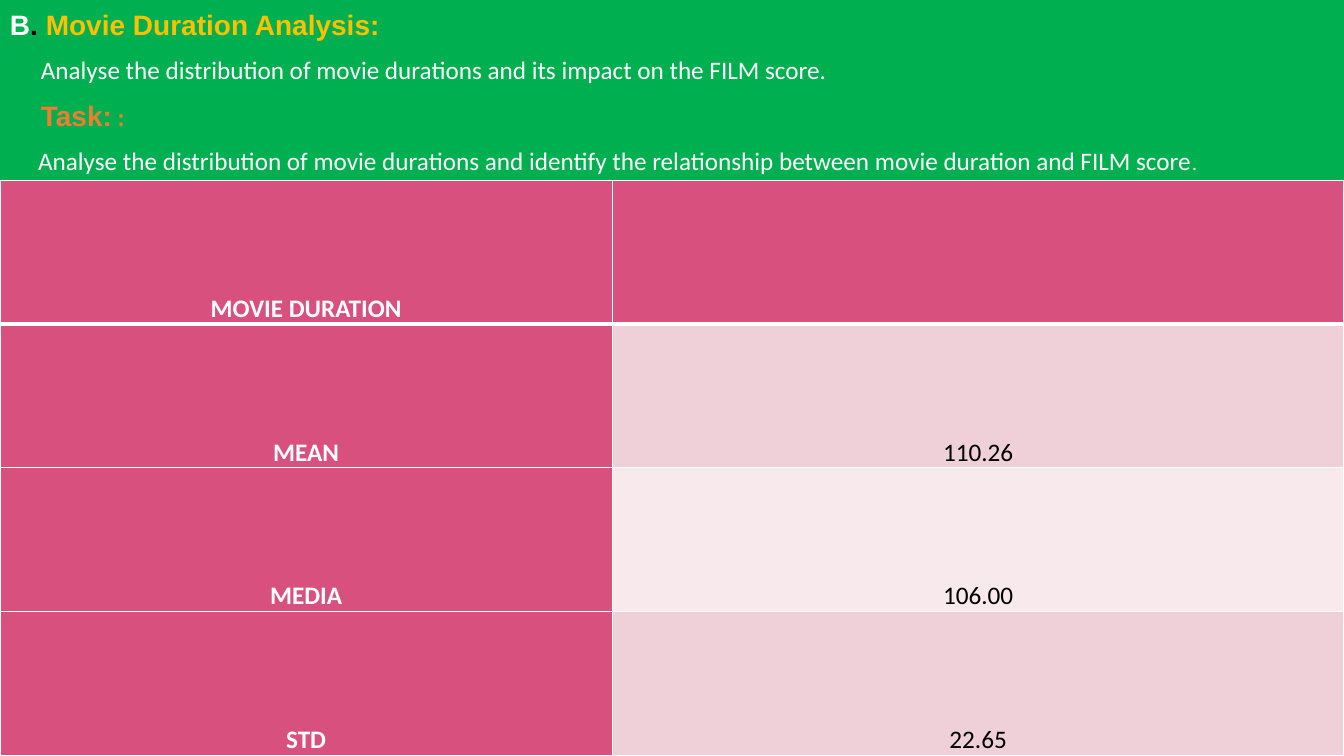
from lxml import etree
from pptx import Presentation
from pptx.dml.color import RGBColor
from pptx.enum.text import MSO_ANCHOR, MSO_AUTO_SIZE, PP_ALIGN
from pptx.oxml.ns import qn
from pptx.util import Cm, Pt

LEFT, CENTER = PP_ALIGN.LEFT, PP_ALIGN.CENTER
TOP, BOTTOM = MSO_ANCHOR.TOP, MSO_ANCHOR.BOTTOM
NO_AUTOFIT = MSO_AUTO_SIZE.NONE

THEME = {
    "background": "000000", "banner": "00B050", "white": "FFFFFF", "black": "000000",
    "gold": "FFC000", "orange": "ED7D31", "label": "D8507E",
    "bands": ("F0D0D8", "F8E9EC"),
    "heading_font": "Arial", "body_font": "Calibri",
    "heading_size": 20, "body_size": 18, "small_size": 14,
    "thin_line": 1, "thick_line": 3,
}

HEADING = {"size": THEME["heading_size"], "font_name": THEME["heading_font"], "bold": True}
BODY = {"color": THEME["white"]}

# Each line: indent in centimetres, then its runs as (text, format)
BANNER_LINES = [
    (0, [("B", {**HEADING, "color": THEME["white"]}),
         (". ", {**HEADING, "color": THEME["black"]}),
         ("Movie Duration Analysis:", {**HEADING, "color": THEME["gold"]})]),
    (0.78, [("Analyse the distribution of movie durations and its impact on the FILM score.", BODY)]),
    (0.78, [("Task:", {**HEADING, "color": THEME["orange"]}),
            (" :", {"color": THEME["orange"], "bold": True})]),
    (0.71, [("Analyse the distribution of movie durations and identify the relationship "
             "between movie duration and FILM score", BODY),
            (".", {**BODY, "size": THEME["small_size"]})]),
]
TABLE_ROWS = [
    ("MOVIE DURATION", ""),
    ("MEAN", "110.26"),
    ("MEDIA", "106.00"),
    ("STD", "22.65"),
]

SLIDE_WIDTH, SLIDE_HEIGHT = Cm(33.87), Cm(19.05)
BANNER_HEIGHT = Cm(4.55)
LABEL_WIDTH = Cm(15.43)
ROW_HEIGHT = Cm(3.62)


def rgb(color):
    return RGBColor.from_string(color)


def add_text(paragraph, text, color, size=THEME["body_size"],
             font_name=THEME["body_font"], bold=False):
    run = paragraph.add_run()
    run.text = text
    run.font.name = font_name
    run.font.size = Pt(size)
    run.font.bold = bold
    run.font.color.rgb = rgb(color)


def format_paragraph(paragraph, alignment, line_spacing):
    paragraph.alignment = alignment
    paragraph.line_spacing = line_spacing
    paragraph.space_before = Pt(0)
    paragraph.space_after = Pt(8)


def set_border(cell, side, points):
    """Draw one white cell edge; side is L, R, T or B."""
    line = etree.SubElement(cell._tc.get_or_add_tcPr(), qn(f"a:ln{side}"), w=str(Pt(points)))
    fill = etree.SubElement(line, qn("a:solidFill"))
    etree.SubElement(fill, qn("a:srgbClr"), val=THEME["white"])


def build_banner(slide):
    banner = slide.shapes.title
    banner.left, banner.top = Cm(0), Cm(0)
    banner.width, banner.height = SLIDE_WIDTH, BANNER_HEIGHT
    banner.fill.solid()
    banner.fill.fore_color.rgb = rgb(THEME["banner"])
    frame = banner.text_frame
    frame.word_wrap = True
    frame.auto_size = NO_AUTOFIT
    frame.vertical_anchor = TOP
    frame.margin_left = frame.margin_right = Cm(0.25)
    frame.margin_top = frame.margin_bottom = Cm(0.13)
    for index, (indent, runs) in enumerate(BANNER_LINES):
        paragraph = frame.add_paragraph() if index else frame.paragraphs[0]
        format_paragraph(paragraph, LEFT, 1.07)
        properties = paragraph._p.get_or_add_pPr()
        properties.set("marL", str(Cm(indent)))
        properties.set("indent", "0")
        for text, text_format in runs:
            add_text(paragraph, text, **text_format)


def build_table(slide):
    table = slide.shapes.add_table(
        len(TABLE_ROWS), 2, Cm(0), BANNER_HEIGHT,
        SLIDE_WIDTH, ROW_HEIGHT * len(TABLE_ROWS)).table
    table.horz_banding = False
    table.columns[0].width = LABEL_WIDTH
    table.columns[1].width = SLIDE_WIDTH - LABEL_WIDTH
    for row_index, texts in enumerate(TABLE_ROWS):
        table.rows[row_index].height = ROW_HEIGHT
        for column_index, text in enumerate(texts):
            cell = table.cell(row_index, column_index)
            is_label = row_index == 0 or column_index == 0
            thick_side = {0: "B", 1: "T"}.get(row_index)
            for side in "LRTB":
                set_border(cell, side, THEME["thick_line" if side == thick_side else "thin_line"])
            cell.fill.solid()
            cell.fill.fore_color.rgb = rgb(
                THEME["label"] if is_label else THEME["bands"][(row_index - 1) % 2])
            cell.vertical_anchor = BOTTOM
            cell.margin_left = cell.margin_right = Cm(0.18)
            cell.margin_top = cell.margin_bottom = Cm(0)
            if text:
                paragraph = cell.text_frame.paragraphs[0]
                format_paragraph(paragraph, CENTER, 2.0)
                add_text(paragraph, text, bold=is_label,
                         color=THEME["white" if is_label else "black"])


def main():
    presentation = Presentation()
    presentation.slide_width, presentation.slide_height = SLIDE_WIDTH, SLIDE_HEIGHT
    slide = presentation.slides.add_slide(presentation.slide_layouts[5])
    slide.background.fill.solid()
    slide.background.fill.fore_color.rgb = rgb(THEME["background"])
    build_banner(slide)
    build_table(slide)
    presentation.save("out.pptx")


if __name__ == "__main__":
    main()
